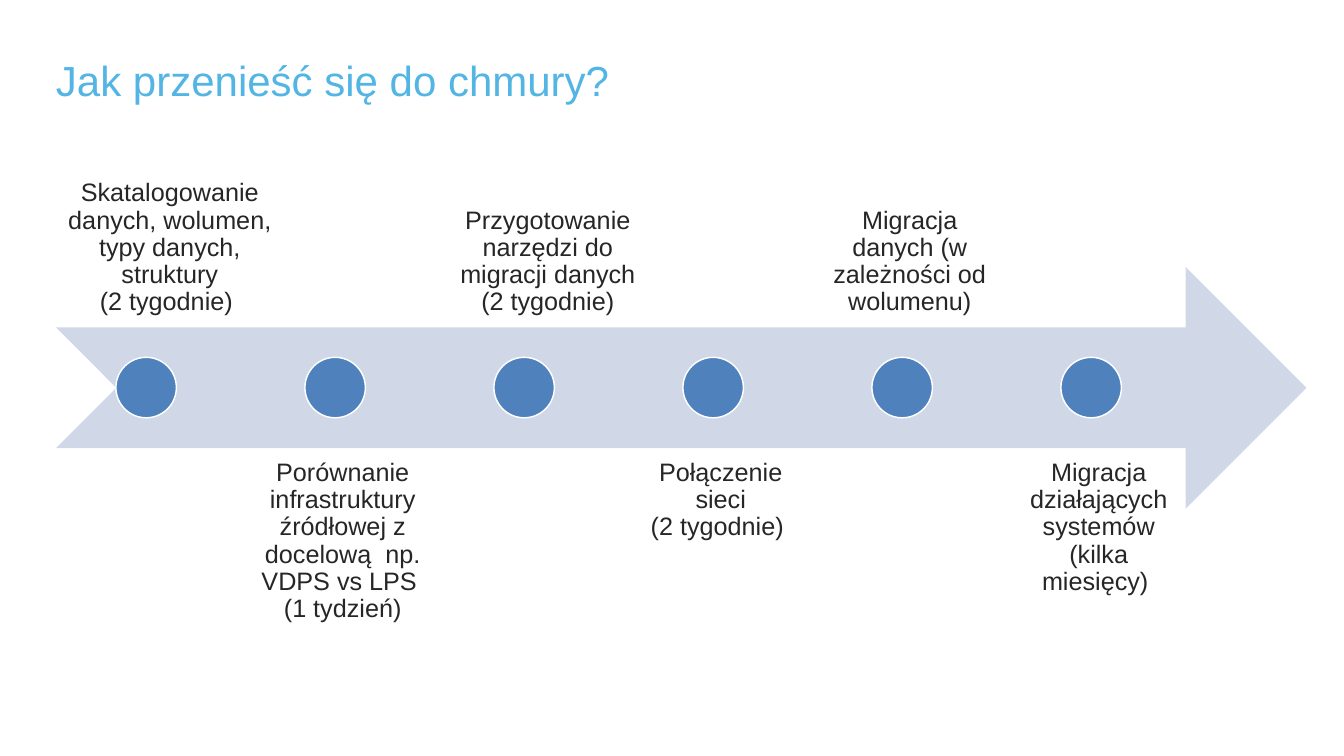
from pptx import Presentation
from pptx.dml.color import RGBColor
from pptx.enum.shapes import MSO_SHAPE
from pptx.enum.text import MSO_ANCHOR, PP_ALIGN
from pptx.util import Pt


def color(hex_string):
    return RGBColor.from_string(hex_string)


def add_text(left, top, width, height, lines, size, hex_color, inset=0,
             anchor=MSO_ANCHOR.TOP, align=PP_ALIGN.LEFT, spacing=1.0):
    box = slide.shapes.add_textbox(Pt(left), Pt(top), Pt(width), Pt(height))
    frame = box.text_frame
    frame.word_wrap = True
    frame.vertical_anchor = anchor
    frame.margin_left = frame.margin_right = Pt(inset)
    frame.margin_top = frame.margin_bottom = Pt(inset)
    for index, line in enumerate(lines):
        paragraph = frame.paragraphs[0] if index == 0 else frame.add_paragraph()
        paragraph.alignment = align
        paragraph.line_spacing = spacing
        run = paragraph.add_run()
        run.text = line
        run.font.name = "Arial"
        run.font.size = Pt(size)
        run.font.color.rgb = color(hex_color)


presentation = Presentation()
presentation.slide_width = Pt(1920)
presentation.slide_height = Pt(1080)
slide = presentation.slides.add_slide(presentation.slide_layouts[6])

# Title
add_text(80, 77.8, 830, 44.6, ["Jak przenieść się do chmury?"], 60, "52B5E4")

# Timeline arrow
arrow = slide.shapes.add_shape(
    MSO_SHAPE.NOTCHED_RIGHT_ARROW, Pt(80), Pt(381.6), Pt(1786.3), Pt(345))
arrow.shadow.inherit = False
arrow.fill.solid()
arrow.fill.fore_color.rgb = color("D0D8E8")
arrow.line.fill.background()

# Steps: label width and paragraphs, alternately above and below the arrow
wide, narrow = 324, 278
steps = [
    (wide, ["Skatalogowanie danych, wolumen, typy danych, struktury",
            "(2 tygodnie) "]),
    (narrow, ["Porównanie infrastruktury źródłowej z docelową  np. "
              "VDPS vs LPS  (1 tydzień)"]),
    (wide, ["Przygotowanie narzędzi do migracji danych", "(2 tygodnie)"]),
    (narrow, ["Połączenie sieci", "(2 tygodnie) "]),
    (narrow, ["Migracja danych (w zależności od wolumenu)"]),
    (narrow, ["Migracja działających systemów", "(kilka miesięcy) "]),
]
step_gap = 270
for index, (width, lines) in enumerate(steps):
    above = index % 2 == 0
    add_text(80.6 + index * step_gap, 123.1 if above else 640.1, width, 345,
             lines, 36, "262626", inset=16.5,
             anchor=MSO_ANCHOR.BOTTOM if above else MSO_ANCHOR.TOP,
             align=PP_ALIGN.CENTER, spacing=0.9)

    # Milestone dot
    dot = slide.shapes.add_shape(
        MSO_SHAPE.OVAL, Pt(165.6 + index * step_gap), Pt(510.5), Pt(86.4), Pt(86.4))
    dot.shadow.inherit = False
    dot.fill.solid()
    dot.fill.fore_color.rgb = color("4F81BD")
    dot.line.color.rgb = color("FFFFFF")
    dot.line.width = Pt(2)

presentation.save("out.pptx")
